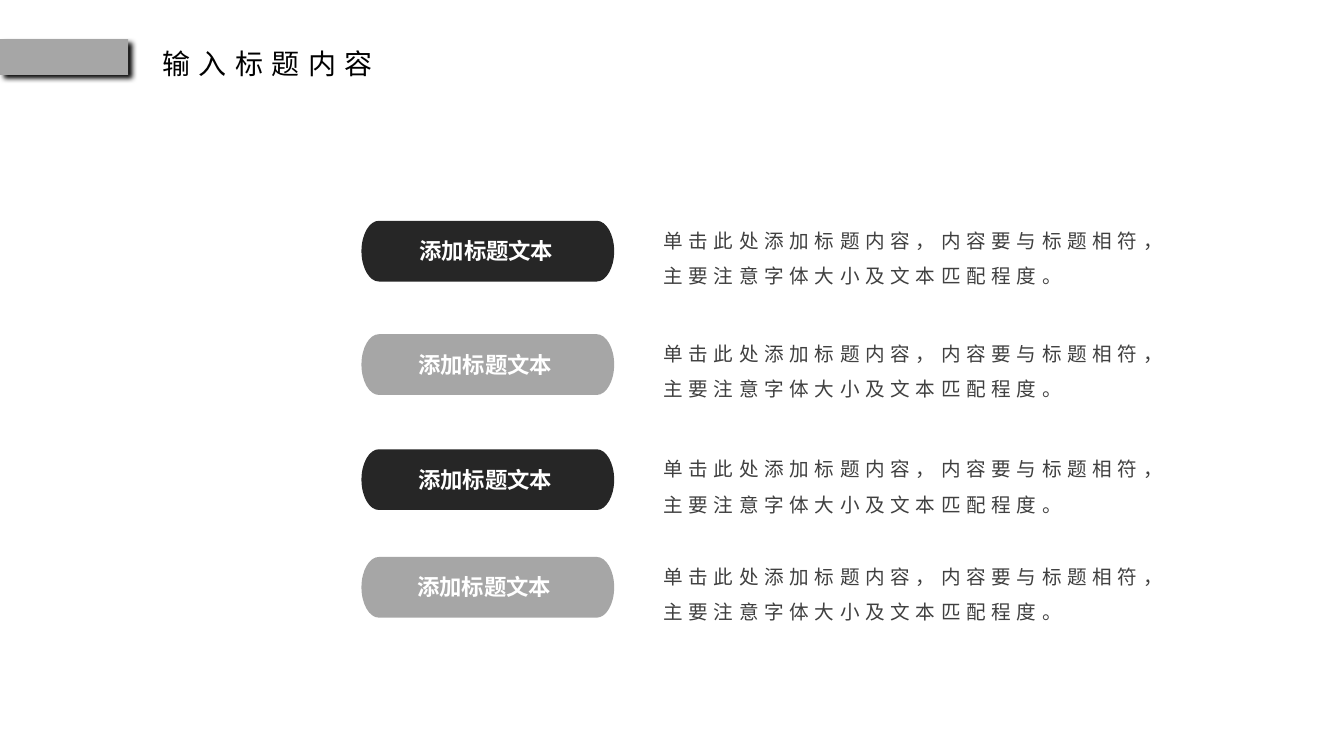
from lxml import etree
from pptx import Presentation
from pptx.dml.color import RGBColor
from pptx.enum import shapes, text
from pptx.oxml import ns
from pptx.util import Pt

BLACK = RGBColor(0x00, 0x00, 0x00)
DARK = RGBColor(0x26, 0x26, 0x26)
GREY = RGBColor(0xA6, 0xA6, 0xA6)
BODY = RGBColor(0x40, 0x40, 0x40)
WHITE = RGBColor(0xFF, 0xFF, 0xFF)
FONT = "Noto Sans CJK SC"
ARC = 0.55  # control distance of a quarter ellipse

prs = Presentation()
prs.slide_width, prs.slide_height = Pt(960), Pt(540)
slide = prs.slides.add_slide(prs.slide_layouts[6])


def add_text(words, left, top, width, height, size, color, spacing=0, bold=False, wrap=False):
    box = slide.shapes.add_textbox(Pt(left), Pt(top), Pt(width), Pt(height))
    frame = box.text_frame
    frame.word_wrap = wrap
    frame.auto_size = text.MSO_AUTO_SIZE.SHAPE_TO_FIT_TEXT
    paragraph = frame.paragraphs[0]
    run = paragraph.add_run()
    run.text = words
    run.font.size = Pt(size)
    run.font.bold = bold
    run.font.color.rgb = color
    run.font.name = FONT
    properties = run.font._element
    etree.SubElement(properties, ns.qn("a:ea")).set("typeface", FONT)
    if spacing:
        properties.set("spc", str(spacing * 100))
    return paragraph


def add_pill(left, top, width, height, end_width, color):
    # Each end: a start point, then two quarter arcs of three points
    outline = []
    for center, side in ((left + width - end_width, 1), (left + end_width, -1)):
        for across, down in ((0, -1), (ARC, -1), (1, -ARC), (1, 0), (1, ARC), (ARC, 1), (0, 1)):
            outline.append((Pt(center + side * across * end_width),
                            Pt(top + height / 2 * (1 + side * down))))
    builder = slide.shapes.build_freeform(*outline[0])
    builder.add_line_segments(outline[1:], close=True)
    pill = builder.convert_to_shape()
    # Turn each triple of arc points into one curve
    segments = list(pill._element.iter(ns.qn("a:lnTo")))
    for first in (0, 3, 7, 10):
        curve = etree.Element(ns.qn("a:cubicBezTo"))
        segments[first].addprevious(curve)
        for segment in segments[first:first + 3]:
            curve.append(segment[0])
            segment.getparent().remove(segment)
    pill.shadow.inherit = False
    pill.fill.solid()
    pill.fill.fore_color.rgb = color
    pill.line.fill.background()


# Header bar with its shadow
bar = slide.shapes.add_shape(shapes.MSO_SHAPE.RECTANGLE, 0, Pt(28), Pt(91.5), Pt(25.5))
bar.fill.solid()
bar.fill.fore_color.rgb = GREY
bar.line.fill.background()
bar.shadow.inherit = False
effects = bar._element.spPr.find(ns.qn("a:effectLst"))
bar_shadow = etree.SubElement(effects, ns.qn("a:outerShdw"), blurRad=str(Pt(4)),
                              dist=str(Pt(4)), dir=str(40 * 60000), algn="tl", rotWithShape="0")
shadow_color = etree.SubElement(bar_shadow, ns.qn("a:srgbClr"), val=str(BLACK))
etree.SubElement(shadow_color, ns.qn("a:alpha"), val="99000")

# Slide title
title = add_text("输入标题内容", 105, 29.5, 172, 31.5, 20, BLACK, spacing=6)
title.alignment = text.PP_ALIGN.CENTER

# Four rows: pill, its label and the description
rows = [
    (157.7, 292.5, DARK),
    (238.7, 291.6, GREY),
    (320.9, 291.6, DARK),
    (397.8, 290.9, GREY),
]
for top, label_left, color in rows:
    add_pill(258.2, top, 180.5, 43.4, 12.5, color)
    add_text("添加标题文本", label_left, top + 8.3, 113.8, 26.6, 16, WHITE, bold=True)
    description = add_text("单击此处添加标题内容，内容要与标题相符，主要注意字体大小及文本匹配程度。",
                           466.9, top - 6.3, 379.4, 56.2, 14, BODY, spacing=4, wrap=True)
    description.line_spacing = 1.5

prs.save("out.pptx")
